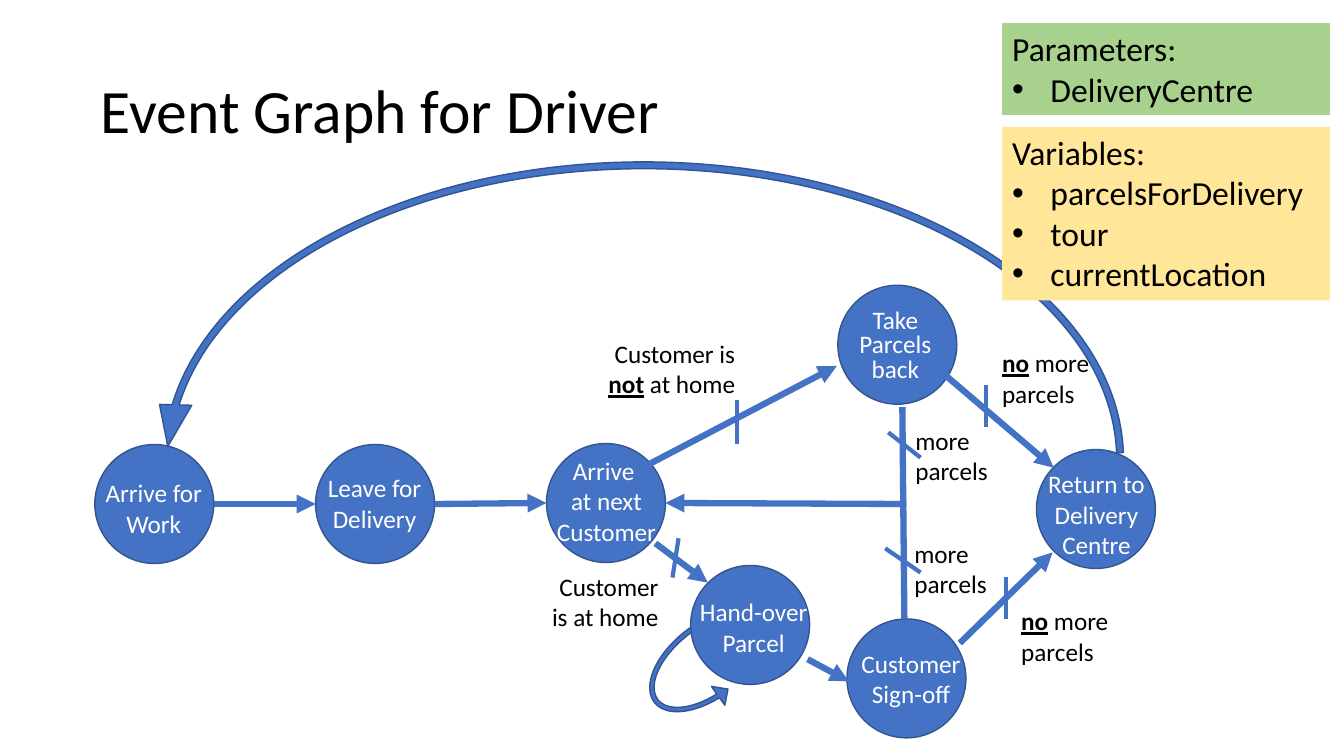
"""Build the event graph slide for the delivery driver."""
from dataclasses import dataclass

from lxml.etree import SubElement
from pptx import Presentation
from pptx.dml.color import RGBColor
from pptx.enum.shapes import MSO_CONNECTOR as Connector, MSO_SHAPE as Shape
from pptx.enum.text import MSO_ANCHOR as Anchor, PP_ALIGN as Align
from pptx.oxml.ns import qn
from pptx.util import Inches, Pt


@dataclass(frozen=True)
class Theme:
    font: str = "Calibri"
    blue: str = "4472C4"
    outline: str = "325491"
    green: str = "A9D18E"
    yellow: str = "FFE699"
    black: str = "000000"
    white: str = "FFFFFF"
    title_size: int = 44
    panel_size: int = 24
    label_size: int = 18
    edge_width: float = 4.5
    tick_width: float = 3


THEME = Theme()
TITLE = "Event Graph for Driver"
NODE_SIZE = 1.18
LABEL_WIDTH = 1.49
LINE_HEIGHT = 0.3
LABEL_PADDING = 0.1

NODES = [
    {"circle": (0.94, 4.41), "label": (0.78, 4.69), "lines": 2, "text": ["Arrive for Work"]},
    {"circle": (3.13, 4.41), "label": (2.97, 4.64), "lines": 2, "text": ["Leave for Delivery"]},
    {"circle": (5.42, 4.4), "label": (5.27, 4.47), "lines": 3,
     "text": ["Arrive \vat next Customer"]},
    {"circle": (10.28, 4.46), "label": (10.13, 4.6), "lines": 3,
     "text": ["Return to Delivery Centre"]},
    {"circle": (8.4, 6.14), "label": (8.29, 6.38), "lines": 2, "text": ["Customer", "Sign-off"]},
    {"circle": (6.85, 5.61), "label": (6.73, 5.87), "lines": 2, "text": ["Hand-over Parcel"]},
    {"circle": (8.31, 2.83), "label": (8.3, 3.03), "lines": 3, "text": ["Take Parcels back"],
     "width": 1.16, "spacing": 0.8},
]
ARROWS = [
    ((6.5, 5.39), (7.02, 5.78)),
    ((8.01, 6.54), (8.42, 6.76)),
    ((9.52, 6.38), (10.44, 5.48)),
    ((4.31, 5), (5.42, 4.99)),
    ((2.12, 5), (3.13, 5)),
    ((8.99, 5), (6.6, 4.99)),
    ((6.39, 4.63), (8.3, 3.63)),
    ((9.35, 3.7), (10.45, 4.64)),
]
JOIN = ((8.95, 4.04), (8.97, 6.14))
TICKS = [
    ((7.31, 3.97), (7.31, 4.4)),
    ((9.78, 3.82), (9.78, 4.24)),
    ((8.81, 4.29), (9.13, 4.54)),
    ((8.78, 5.44), (9.13, 5.68)),
    ((9.98, 5.72), (9.98, 6.14)),
    ((6.73, 5.34), (6.67, 5.73)),
]
CONDITIONS = [
    (8.98, 4.17, 1.16, Align.LEFT, "more parcels"),
    (8.97, 5.29, 1.16, Align.LEFT, "more parcels"),
    (5.33, 5.62, 1.3, Align.RIGHT, "Customer is at home"),
    (5.81, 3.31, 1.58, Align.RIGHT, "Customer is *not* at home"),
    (9.84, 3.4, 1.16, Align.LEFT, "*no* more parcels"),
    (10.03, 5.96, 1.16, Align.LEFT, "*no* more parcels"),
]
PARCEL_LOOP = {"box": (6.56, 5.79, 0.92, 1.53), "rotation": 231.9,
               "adjustments": (0.049, 11.423, 203.017, 92.887, 0.125)}
SHIFT_LOOP = {"box": (1.5, 1.48, 9.77, 6.16), "rotation": 0,
              "adjustments": (0.011, 3.059, 211.997, 108.506, 0.026)}
PANELS = [
    ((9.94, 1.26, 3.25, 1.72), THEME.yellow, "Variables:",
     ["parcelsForDelivery", "tour", "currentLocation"]),
    ((9.94, 0.23, 3.25, 0.91), THEME.green, "Parameters:", ["DeliveryCentre"]),
]


def rgb(color):
    """Turn a hex string into a colour."""
    return RGBColor.from_string(color)


def add_bullet(para):
    """Give a paragraph a hanging round bullet."""
    properties = para._p.get_or_add_pPr()
    properties.set("marL", str(Inches(0.38)))
    properties.set("indent", str(-Inches(0.38)))
    SubElement(properties, qn("a:buFont")).set("typeface", "Arial")
    SubElement(properties, qn("a:buChar")).set("char", "•")


def write_text(box, texts, size=THEME.label_size, color=THEME.black, align=Align.LEFT,
               spacing=None, anchor=Anchor.TOP, bullets_from=None):
    """Write paragraphs, with words between asterisks bold and underlined."""
    frame = box.text_frame
    frame.word_wrap = True
    frame.vertical_anchor = anchor
    for index, text in enumerate(texts):
        para = frame.add_paragraph() if index else frame.paragraphs[0]
        para.alignment = align
        if spacing:
            para.line_spacing = spacing
        if bullets_from is not None and index >= bullets_from:
            add_bullet(para)
        for part, words in enumerate(text.split("*")):
            for position, piece in enumerate(words.split("\v")):
                if position:
                    para.add_line_break()
                if not piece:
                    continue
                span = para.add_run()
                span.text = piece
                span.font.name = THEME.font
                span.font.size = Pt(size)
                span.font.color.rgb = rgb(color)
                if part % 2:
                    span.font.bold = span.font.underline = True


def add_label(page, left, top, width, lines, texts, **style):
    """Add a text box tall enough for its lines."""
    height = LINE_HEIGHT * lines + LABEL_PADDING
    box = page.shapes.add_textbox(*map(Inches, (left, top, width, height)))
    write_text(box, texts, **style)


def add_filled(page, kind, box, fill, outline=None):
    """Add a flat preset shape."""
    shape = page.shapes.add_shape(kind, *map(Inches, box))
    shape.shadow.inherit = False
    shape.fill.solid()
    shape.fill.fore_color.rgb = rgb(fill)
    if outline:
        shape.line.color.rgb = rgb(outline)
        shape.line.width = Pt(1)
    else:
        shape.line.fill.background()
    return shape


def add_loop(page, box, rotation, adjustments):
    """Add a mirrored circular arrow."""
    loop = add_filled(page, Shape.CIRCULAR_ARROW, box, THEME.blue, THEME.outline)
    for index, value in enumerate(adjustments):
        loop.adjustments[index] = value
    loop.rotation = rotation
    loop._element.spPr.find(qn("a:xfrm")).set("flipH", "1")


def add_line(page, ends, width, arrow=False):
    """Add a straight line, with an arrowhead at its end if asked."""
    start, end = ends
    line = page.shapes.add_connector(Connector.STRAIGHT, *map(Inches, start + end))
    line.line.color.rgb = rgb(THEME.blue)
    line.line.width = Pt(width)
    if arrow:
        SubElement(line.line._get_or_add_ln(), qn("a:tailEnd")).set("type", "triangle")
    SubElement(line._element.spPr, qn("a:effectLst"))


def main():
    """Build and save the deck."""
    deck = Presentation()
    deck.slide_width, deck.slide_height = Inches(13.33), Inches(7.5)
    page = deck.slides.add_slide(deck.slide_layouts[5])
    title = page.shapes.title
    title.left, title.top, title.width, title.height = map(Inches, (0.9, 0.4, 11.5, 1.45))
    write_text(title, [TITLE], size=THEME.title_size, spacing=0.9, anchor=Anchor.MIDDLE)

    add_loop(page, **PARCEL_LOOP)
    for node in NODES:
        add_filled(page, Shape.OVAL, node["circle"] + (NODE_SIZE, NODE_SIZE),
                   THEME.blue, THEME.outline)
        add_label(page, *node["label"], node.get("width", LABEL_WIDTH), node["lines"],
                  node["text"], color=THEME.white, align=Align.CENTER,
                  spacing=node.get("spacing"))
    add_loop(page, **SHIFT_LOOP)
    for ends in ARROWS:
        add_line(page, ends, THEME.edge_width, arrow=True)
    add_line(page, JOIN, THEME.edge_width)
    for ends in TICKS:
        add_line(page, ends, THEME.tick_width)
    for left, top, width, align, text in CONDITIONS:
        add_label(page, left, top, width, 2, [text], align=align)
    for box, fill, heading, items in PANELS:
        panel = add_filled(page, Shape.RECTANGLE, box, fill)
        write_text(panel, [heading, *items], size=THEME.panel_size, bullets_from=1)
    deck.save("out.pptx")


if __name__ == "__main__":
    main()
